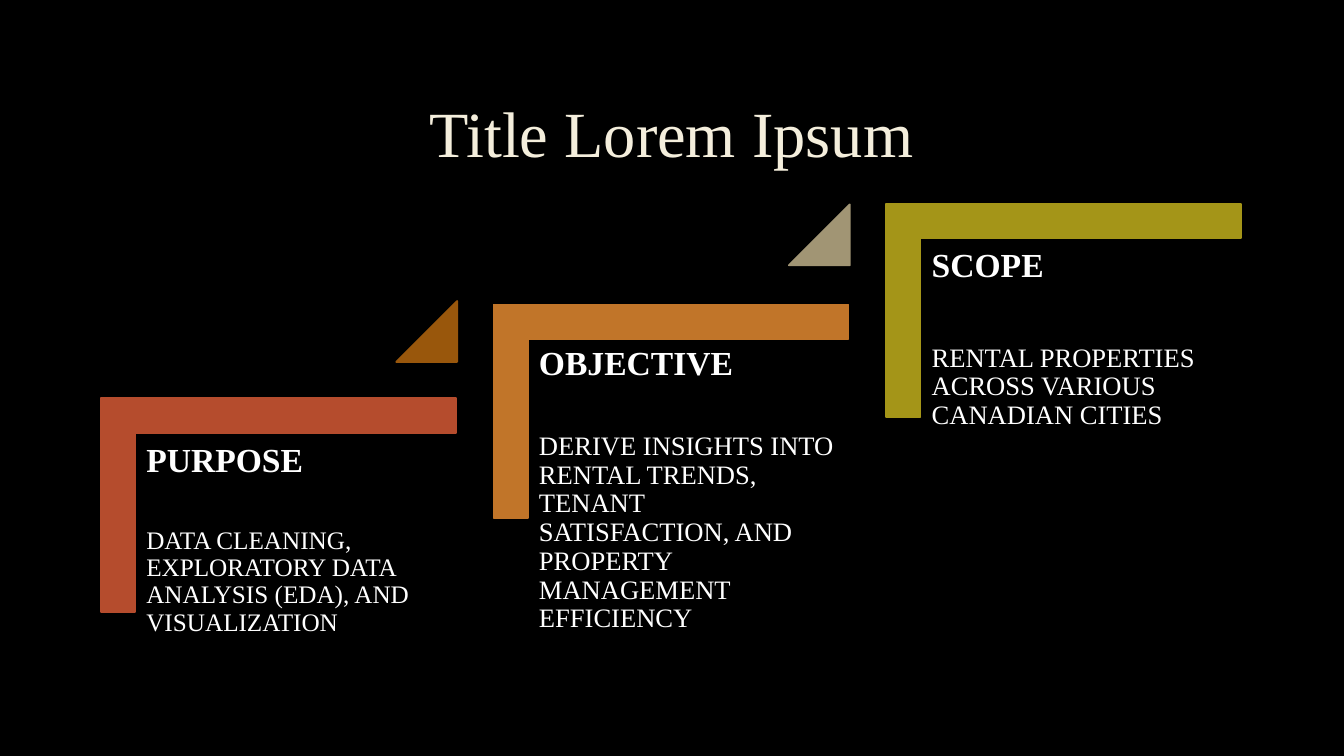
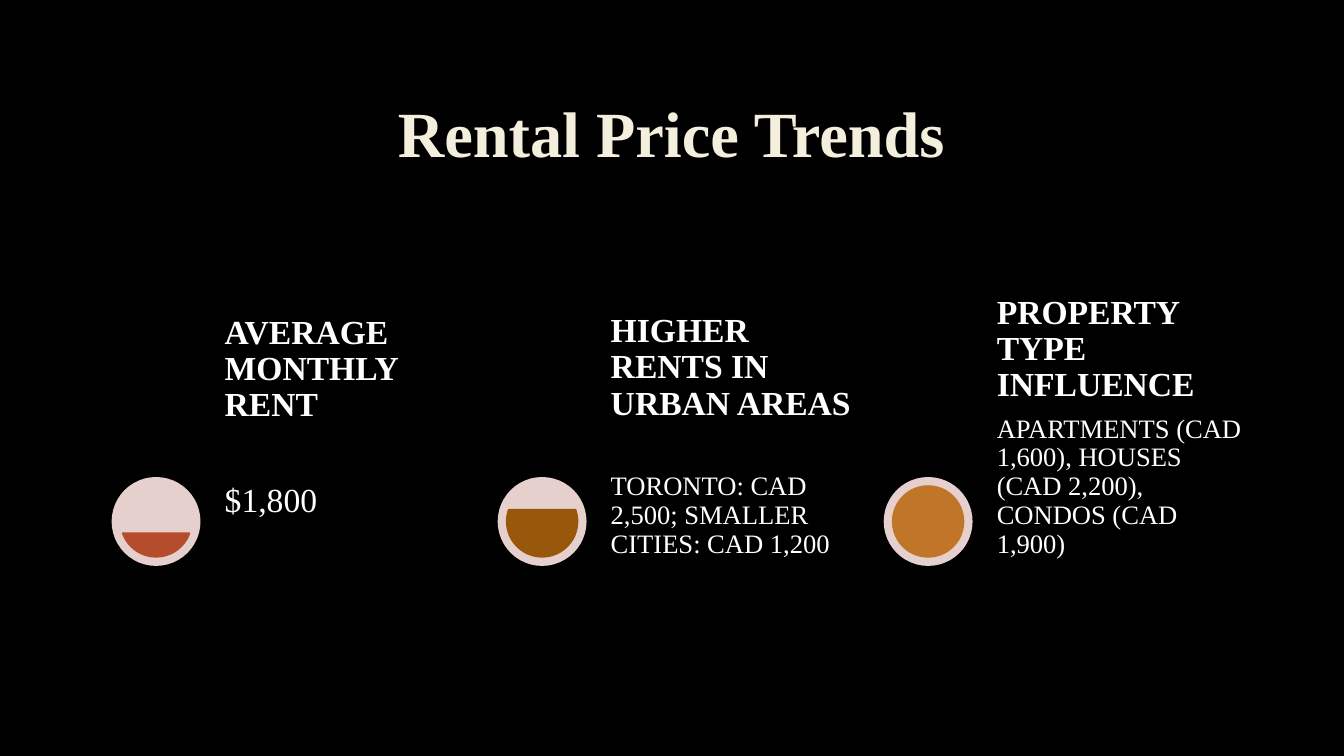
import math

import pptx
import pptx.dml.color
import pptx.enum.shapes
import pptx.enum.text
import pptx.util

Pt = pptx.util.Pt
RGBColor = pptx.dml.color.RGBColor
MSO_SHAPE = pptx.enum.shapes.MSO_SHAPE
MSO_ANCHOR = pptx.enum.text.MSO_ANCHOR
PP_ALIGN = pptx.enum.text.PP_ALIGN

# Shared style
FONT = "Times New Roman"
BLACK = RGBColor(0x00, 0x00, 0x00)
WHITE = RGBColor(0xFF, 0xFF, 0xFF)
CREAM = RGBColor(0xF4, 0xEE, 0xDC)
RED = RGBColor(0xB5, 0x4C, 0x2D)
BROWN = RGBColor(0x99, 0x57, 0x0C)
ORANGE = RGBColor(0xC1, 0x75, 0x29)
TAN = RGBColor(0xA1, 0x95, 0x74)
OLIVE = RGBColor(0xA4, 0x95, 0x18)
PINK = RGBColor(0xE5, 0xD0, 0xCD)
HEADING_SIZE = 24

# Content of the staircase slide, one step each
STEPS = [
    {"heading": "PURPOSE", "size": 18, "gap": 34.5,
     "body": "DATA CLEANING, EXPLORATORY DATA ANALYSIS (EDA), AND VISUALIZATION",
     "color": RED, "corner_top": 234, "text_top": 309.5, "triangle": BROWN},
    {"heading": "OBJECTIVE", "size": 19, "gap": 35.5,
     "body": "DERIVE INSIGHTS INTO RENTAL TRENDS, TENANT SATISFACTION, "
             "AND PROPERTY MANAGEMENT EFFICIENCY",
     "color": ORANGE, "corner_top": 167, "text_top": 240.5, "triangle": TAN},
    {"heading": "SCOPE", "size": 19, "gap": 42.5,
     "body": "RENTAL PROPERTIES ACROSS VARIOUS CANADIAN CITIES",
     "color": OLIVE, "corner_top": 95, "text_top": 170.5, "triangle": None},
]

# Content of the price slide, one gauge each
GAUGES = [
    {"heading": "AVERAGE MONTHLY RENT", "body": "$1,800",
     "size": 24, "gap": 42.5, "bottom_inset": 33, "color": RED},
    {"heading": "HIGHER RENTS IN URBAN AREAS",
     "body": "TORONTO: CAD 2,500; SMALLER CITIES: CAD 1,200",
     "size": 19, "gap": 36, "bottom_inset": 5, "color": BROWN},
    {"heading": "PROPERTY TYPE INFLUENCE",
     "body": "APARTMENTS (CAD 1,600), HOUSES (CAD 2,200), CONDOS (CAD 1,900)",
     "size": 19, "gap": 8, "bottom_inset": 5, "color": ORANGE},
]


def write(paragraph, text, size, color=WHITE, bold=False, align=PP_ALIGN.LEFT, before=0):
    paragraph.alignment = align
    paragraph.line_spacing = 0.9
    paragraph.space_before = Pt(before)
    run = paragraph.add_run()
    run.text = text
    run.font.name = FONT
    run.font.size = Pt(size)
    run.font.bold = bold
    run.font.color.rgb = color


def add_titled_slide(presentation, text, bold=False):
    slide = presentation.slides.add_slide(presentation.slide_layouts[5])
    title = slide.shapes.title
    title.left, title.top, title.width, title.height = Pt(72), Pt(48), Pt(815), Pt(99.5)
    frame = title.text_frame
    frame.auto_size = pptx.enum.text.MSO_AUTO_SIZE.NONE
    frame.vertical_anchor = MSO_ANCHOR.MIDDLE
    write(frame.paragraphs[0], text, 46, color=CREAM, bold=bold, align=PP_ALIGN.CENTER)
    return slide


def add_filled(slide, kind, left, top, width, height, color, outlined=True, adjust=()):
    shape = slide.shapes.add_shape(kind, Pt(left), Pt(top), Pt(width), Pt(height))
    shape.shadow.inherit = False
    shape.fill.solid()
    shape.fill.fore_color.rgb = color
    if outlined:
        shape.line.color.rgb = color
        shape.line.width = Pt(1.25)
    else:
        shape.line.fill.background()
    for index, value in enumerate(adjust):
        shape.adjustments[index] = value
    return shape


def add_entry(slide, entry, left, top, width, height, inset, anchor=MSO_ANCHOR.TOP):
    """Bold heading with its body text below."""
    frame = slide.shapes.add_textbox(Pt(left), Pt(top), Pt(width), Pt(height)).text_frame
    frame.word_wrap = True
    frame.vertical_anchor = anchor
    frame.margin_left = frame.margin_right = frame.margin_top = Pt(inset)
    frame.margin_bottom = Pt(entry.get("bottom_inset", inset))
    write(frame.paragraphs[0], entry["heading"], HEADING_SIZE, bold=True)
    write(frame.add_paragraph(), entry["body"], entry["size"], before=entry["gap"])


def build_staircase(presentation):
    slide = add_titled_slide(presentation, "Title Lorem Ipsum")
    for index, step in enumerate(STEPS):
        offset = 280.5 * index
        corner = add_filled(slide, MSO_SHAPE.CORNER, 122.5 + offset, step["corner_top"],
                            152.5, 253.5, step["color"], adjust=(0.161, 0.161))
        corner.rotation = 90
        add_entry(slide, step, 97.5 + offset, step["text_top"], 229, 201, inset=7)
        if step["triangle"]:
            add_filled(slide, MSO_SHAPE.ISOSCELES_TRIANGLE, 283 + offset,
                       step["text_top"] - 94.5, 43.5, 43.5, step["triangle"], adjust=(1,))


def build_gauges(presentation):
    slide = add_titled_slide(presentation, "Rental Price Trends", bold=True)
    top, ring, disc = 340.75, 63.5, 50.5
    inset = (ring - disc) / 2
    for index, gauge in enumerate(GAUGES):
        left = 79.75 + 275.75 * index
        add_filled(slide, MSO_SHAPE.OVAL, left, top, ring, ring, PINK, outlined=False)
        # The chord fills one more third of the disc each time
        level = (index + 1) / len(GAUGES)
        angle = math.degrees(math.asin(1 - 2 * level))
        ends = [degrees % 360 * 0.6 for degrees in (angle, 180 - angle)]
        add_filled(slide, MSO_SHAPE.CHORD, left + inset, top + inset, disc, disc,
                   gauge["color"], adjust=ends)
        add_entry(slide, gauge, left + 75.75, top, 186.5, ring, inset=5,
                  anchor=MSO_ANCHOR.BOTTOM)


def main():
    presentation = pptx.Presentation()
    presentation.slide_width, presentation.slide_height = Pt(960), Pt(540)
    background = presentation.slide_master.background.fill
    background.solid()
    background.fore_color.rgb = BLACK
    build_staircase(presentation)
    build_gauges(presentation)
    presentation.save("out.pptx")


if __name__ == "__main__":
    main()
